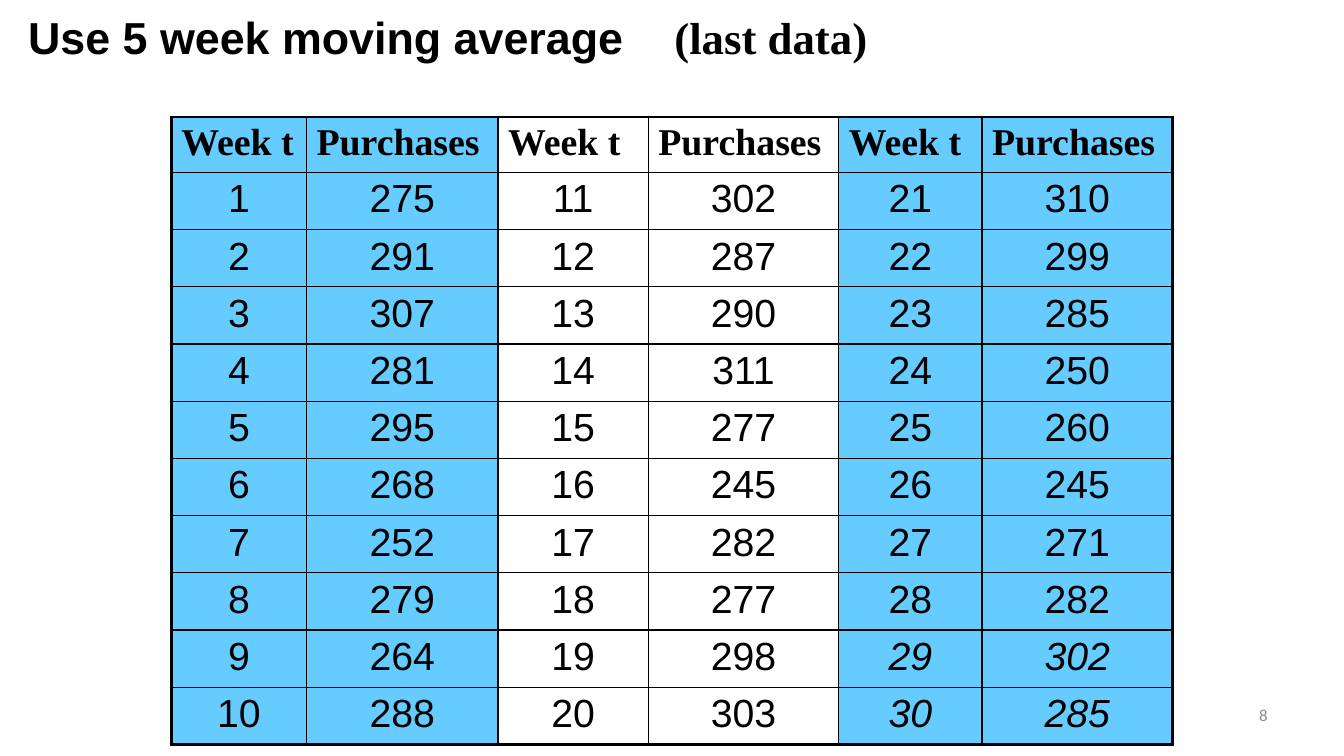
from pptx import Presentation
from pptx.dml.color import RGBColor
from pptx.enum import text
from pptx.oxml.ns import qn
from pptx.util import Inches, Pt
from lxml import etree

COLORS = {"black": "000000", "band": "66CCFF", "page": "8C8C8C"}
PURCHASES = [275, 291, 307, 281, 295, 268, 252, 279, 264, 288,
             302, 287, 290, 311, 277, 245, 282, 277, 298, 303,
             310, 299, 285, 250, 260, 245, 271, 282, 302, 285]
WEEKS_PER_BLOCK = 10
FIRST_ITALIC_WEEK = 29
COLUMN_WIDTHS = [1.34, 1.9, 1.49, 1.89, 1.42, 1.89]
HEADER_HEIGHT = 0.55
THIN, THICK = 1, 2.25


def rgb(name):
    return RGBColor.from_string(COLORS[name])


def style_run(r, font, size, color="black", bold=False, italic=False):
    r.font.name = font
    r.font.size = Pt(size)
    r.font.color.rgb = rgb(color)
    r.font.bold = bold
    r.font.italic = italic


def add_textbox(s, left, top, width, height):
    tf = s.shapes.add_textbox(Inches(left), Inches(top),
                              Inches(width), Inches(height)).text_frame
    tf.word_wrap = True
    return tf


def add_title(s, left, top, width, height):
    """Heading with its remark set at a tab stop."""
    p = add_textbox(s, left, top, width, height).paragraphs[0]
    p.space_before = Pt(3)
    tabs = etree.SubElement(p._p.get_or_add_pPr(), qn("a:tabLst"))
    etree.SubElement(tabs, qn("a:tab"), pos=str(Inches(6.41)), algn="l")
    for words, font in [("Use 5 week moving average\t", "Arial"),
                        ("(last data)", "Times New Roman")]:
        r = p.add_run()
        r.text = words
        style_run(r, font, 32, bold=True)


def add_page_number(s, left, top, width, height):
    tf = add_textbox(s, left, top, width, height)
    tf.vertical_anchor = text.MSO_ANCHOR.MIDDLE
    p = tf.paragraphs[0]
    p.text = "8"
    p.alignment = text.PP_ALIGN.RIGHT
    style_run(p.runs[0], "Calibri", 12, "page")


def set_borders(cell, widths):
    """Draw black borders; widths maps L, R, T and B to points."""
    props = cell._tc.get_or_add_tcPr()
    for i, (side, width) in enumerate(widths.items()):
        line = etree.Element(qn(f"a:ln{side}"), w=str(Pt(width)))
        fill = etree.SubElement(line, qn("a:solidFill"))
        etree.SubElement(fill, qn("a:srgbClr"), val=COLORS["black"])
        props.insert(i, line)


def fill_cell(cell, row, col):
    block, is_purchase = divmod(col, 2)
    week = block * WEEKS_PER_BLOCK + row
    p = cell.text_frame.paragraphs[0]
    if row == 0:
        p.text = "Purchases" if is_purchase else "Week t"
        style_run(p.runs[0], "Times New Roman", 27, bold=True)
    else:
        p.text = str(PURCHASES[week - 1] if is_purchase else week)
        p.alignment = text.PP_ALIGN.CENTER
        style_run(p.runs[0], "Arial", 28, italic=week >= FIRST_ITALIC_WEEK)
    if block % 2 == 0:
        cell.fill.solid()
        cell.fill.fore_color.rgb = rgb("band")
    else:
        cell.fill.background()


def add_purchase_table(s, left, top, width, height):
    """Weeks and purchases in side-by-side blocks of ten."""
    rows, cols = WEEKS_PER_BLOCK + 1, len(COLUMN_WIDTHS)
    table = s.shapes.add_table(rows, cols, Inches(left), Inches(top),
                               Inches(width), Inches(height)).table
    table.first_row = table.horz_banding = False
    for column, column_width in zip(table.columns, COLUMN_WIDTHS):
        column.width = Inches(column_width)
    for i, row in enumerate(table.rows):
        row.height = Inches((height - HEADER_HEIGHT) / WEEKS_PER_BLOCK
                            if i else HEADER_HEIGHT)
        for j, cell in enumerate(row.cells):
            fill_cell(cell, i, j)
            on_edge = {"L": j == 0, "R": j == cols - 1,
                       "T": i == 0, "B": i == rows - 1}
            set_borders(cell, {side: THICK if outer else THIN
                               for side, outer in on_edge.items()})


def main():
    prs = Presentation()
    prs.slide_width, prs.slide_height = Inches(13.33), Inches(7.5)
    s = prs.slides.add_slide(prs.slide_layouts[6])
    add_page_number(s, 9.56, 6.83, 3.11, 0.52)
    add_title(s, 0.18, 0.05, 12.92, 0.64)
    add_purchase_table(s, 1.7, 1.16, sum(COLUMN_WIDTHS), 6.22)
    prs.save("out.pptx")


if __name__ == "__main__":
    main()
